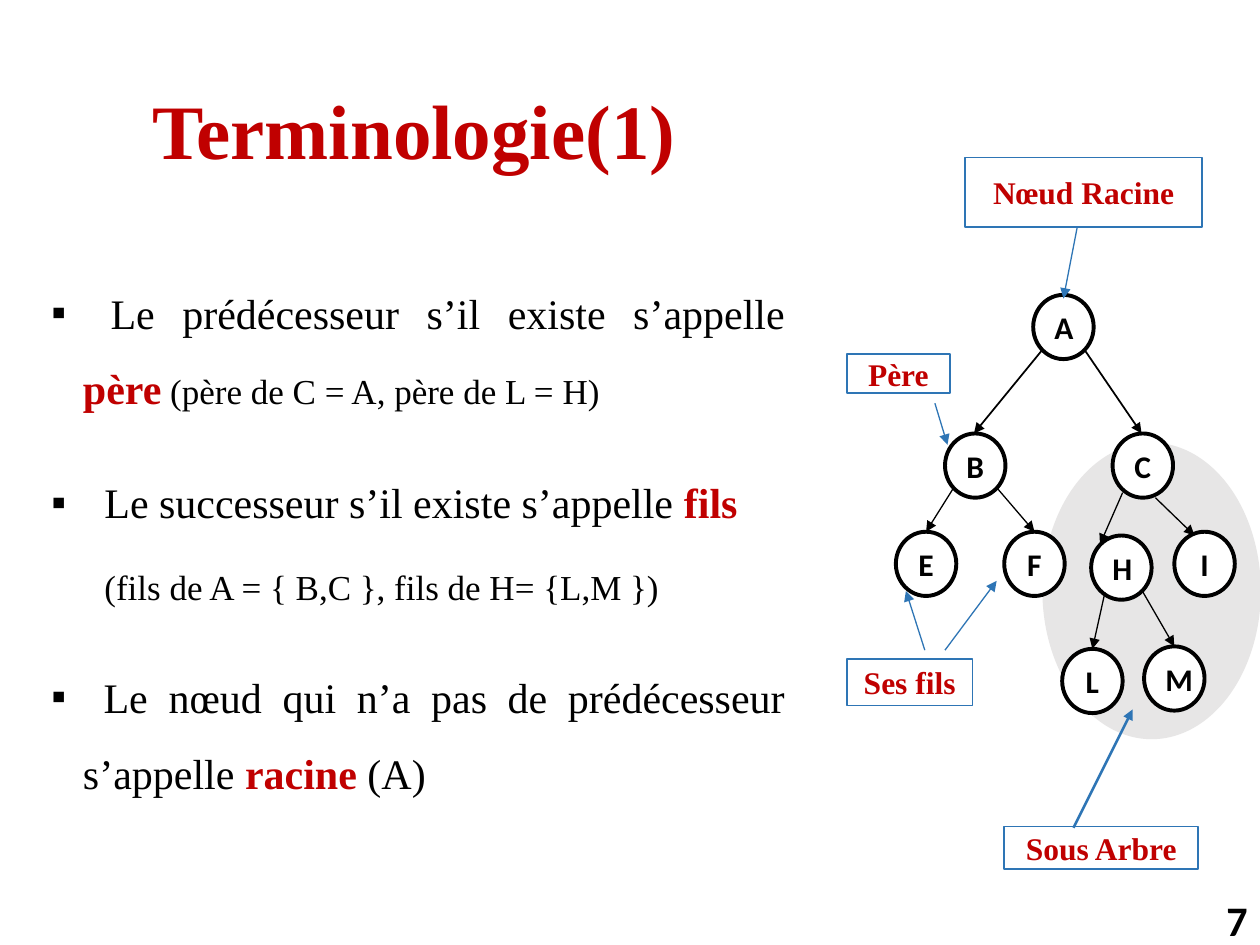
from lxml.etree import SubElement
from pptx import Presentation
from pptx.dml.color import RGBColor
from pptx.enum.shapes import MSO_CONNECTOR as Connector, MSO_SHAPE as Shape
from pptx.enum.text import MSO_ANCHOR as Anchor, PP_ALIGN as Align
from pptx.oxml.ns import qn
from pptx.util import Inches, Pt

COLORS = {"black": "000000", "white": "FFFFFF", "red": "C00000",
          "blue": "2E75B5", "gray": "E7E6E6"}
SERIF, SANS = "Times New Roman", "Calibri"
NODE_WIDTH, NODE_HEIGHT = 0.48, 0.51

NODES = {  # letter: left, top
    "A": (8.2, 2.34), "B": (7.5, 3.44), "C": (8.83, 3.44),
    "E": (7.11, 4.22), "F": (7.97, 4.22), "I": (9.32, 4.22),
    "H": (8.66, 4.25), "L": (8.43, 5.15), "M": (9.08, 5.13),
}
EDGES = [  # start, end, width in points
    ((8.27, 2.78), (7.73, 3.44), 1), ((8.61, 2.78), (9.06, 3.44), 1),
    ((7.57, 3.87), (7.35, 4.22), 0.75), ((7.91, 3.87), (8.21, 4.22), 0.75),
    ((8.91, 3.91), (8.73, 4.32), 0.75), ((9.17, 3.95), (9.48, 4.25), 0.75),
    ((8.77, 4.7), (8.67, 5.15), 0.75), ((9.06, 4.68), (9.32, 5.13), 0.75),
]
LABELS = {  # text: left, top, width, height
    "Nœud Racine": (7.66, 1.25, 1.88, 0.55),
    "Sous Arbre": (7.97, 6.56, 1.54, 0.34),
    "Père": (6.72, 2.81, 0.82, 0.31),
    "Ses fils": (6.72, 5.23, 1, 0.37),
}
POINTERS = [
    ((8.55, 1.8), (8.44, 2.37), 0.75), ((8.52, 6.57), (8.99, 5.63), 1.5),
    ((7.42, 3.2), (7.52, 3.53), 0.75), ((7.34, 5.16), (7.19, 4.69), 0.75),
    ((7.5, 5.16), (7.91, 4.61), 0.75),
]
DEFINITIONS = [  # runs (text, size, is a term), left margin, indent, space before, bullet
    ([(" Le prédécesseur s’il existe s’appelle ", 24, False), ("père", 24, True),
      (" (père de C = A, père de L = H)", 20, False)], 0.25, -0.25, 0, True),
    ([("Le successeur s’il existe s’appelle ", 24, False), ("fils", 24, True)],
     0.42, -0.42, 22, True),
    ([("(fils de A = { B,C }, fils de H= {L,M })", 20, False)], 0.42, 0, 10, False),
    ([(" Le nœud qui n’a pas de prédécesseur s’appelle ", 24, False),
      ("racine ", 24, True), ("(A)", 24, False)], 0.25, -0.25, 22, True),
]


def rgb(name):
    return RGBColor.from_string(COLORS[name])


class SlideBuilder:
    def __init__(self, slide):
        self.slide = slide

    def style_font(self, font, size, color, bold=True, name=SERIF):
        font.name, font.size, font.bold = name, Pt(size), bold
        font.color.rgb = rgb(color)

    def text_box(self, box):
        frame = self.slide.shapes.add_textbox(*map(Inches, box)).text_frame
        frame.word_wrap = True
        return frame

    def heading(self, box, text, size, color, name=SERIF, align=Align.LEFT, anchor=Anchor.TOP):
        frame = self.text_box(box)
        frame.vertical_anchor = anchor
        paragraph = frame.paragraphs[0]
        paragraph.text, paragraph.alignment = text, align
        self.style_font(paragraph.font, size, color, name=name)

    def shape(self, kind, box, fill, line, width=1):
        shape = self.slide.shapes.add_shape(kind, *map(Inches, box))
        shape.shadow.inherit = False
        shape.fill.solid()
        shape.fill.fore_color.rgb = rgb(fill)
        shape.line.color.rgb = rgb(line)
        shape.line.width = Pt(width)
        return shape

    def caption(self, shape, text, color, name):
        shape.text_frame.vertical_anchor = Anchor.MIDDLE
        paragraph = shape.text_frame.paragraphs[0]
        paragraph.text, paragraph.alignment = text, Align.CENTER
        self.style_font(paragraph.font, 18, color, name=name)

    def node(self, letter, left, top):
        box = (left, top, NODE_WIDTH, NODE_HEIGHT)
        shape = self.shape(Shape.OVAL, box, "white", "black", 2.25)
        self.caption(shape, letter, "black", SANS)

    def label(self, text, box):
        shape = self.shape(Shape.RECTANGLE, box, "white", "blue")
        self.caption(shape, text, "red", SERIF)

    def arrow(self, start, end, width, color):
        arrow = self.slide.shapes.add_connector(
            Connector.STRAIGHT, *map(Inches, start + end))
        arrow.line.color.rgb = rgb(color)
        arrow.line.width = Pt(width)
        SubElement(arrow.line._get_or_add_ln(), qn("a:tailEnd"), type="triangle")
        SubElement(arrow._element.spPr, qn("a:effectLst"))

    def definitions(self, box, items):
        frame = self.text_box(box)
        for index, (runs, margin, indent, space, bullet) in enumerate(items):
            paragraph = frame.add_paragraph() if index else frame.paragraphs[0]
            paragraph.alignment = Align.JUSTIFY
            paragraph.line_spacing = 1.5
            paragraph.space_before = Pt(space)
            for text, size, is_term in runs:
                run = paragraph.add_run()
                run.text = text
                self.style_font(run.font, size, "red" if is_term else "black", is_term)
            self.indent(paragraph, margin, indent, bullet)

    def indent(self, paragraph, margin, indent, bullet):
        properties = paragraph._p.get_or_add_pPr()
        properties.set("marL", str(Inches(margin)))
        properties.set("indent", str(Inches(indent)))
        if bullet:
            color = SubElement(properties, qn("a:buClr"))
            SubElement(color, qn("a:srgbClr"), val=COLORS["black"])
            SubElement(properties, qn("a:buFont"), typeface=SERIF)
            SubElement(properties, qn("a:buChar"), char="▪")


def main():
    presentation = Presentation()
    presentation.slide_width, presentation.slide_height = Inches(10), Inches(7.5)
    builder = SlideBuilder(presentation.slides.add_slide(presentation.slide_layouts[6]))

    builder.heading((7.75, 7.1, 2.25, 0.4), "7", 24, "black", SANS, Align.RIGHT, Anchor.MIDDLE)
    builder.definitions((0.31, 2.03, 6.02, 5.94), DEFINITIONS)
    builder.shape(Shape.OVAL, (8.28, 3.52, 1.72, 2.34), "gray", "gray")
    for letter, position in NODES.items():
        builder.node(letter, *position)
    for edge in EDGES:
        builder.arrow(*edge, "black")
    for text, box in LABELS.items():
        builder.label(text, box)
    for pointer in POINTERS:
        builder.arrow(*pointer, "blue")
    builder.heading((1.11, 0.61, 5.92, 0.84), "Terminologie(1)", 44, "red")

    presentation.save("out.pptx")


if __name__ == "__main__":
    main()
